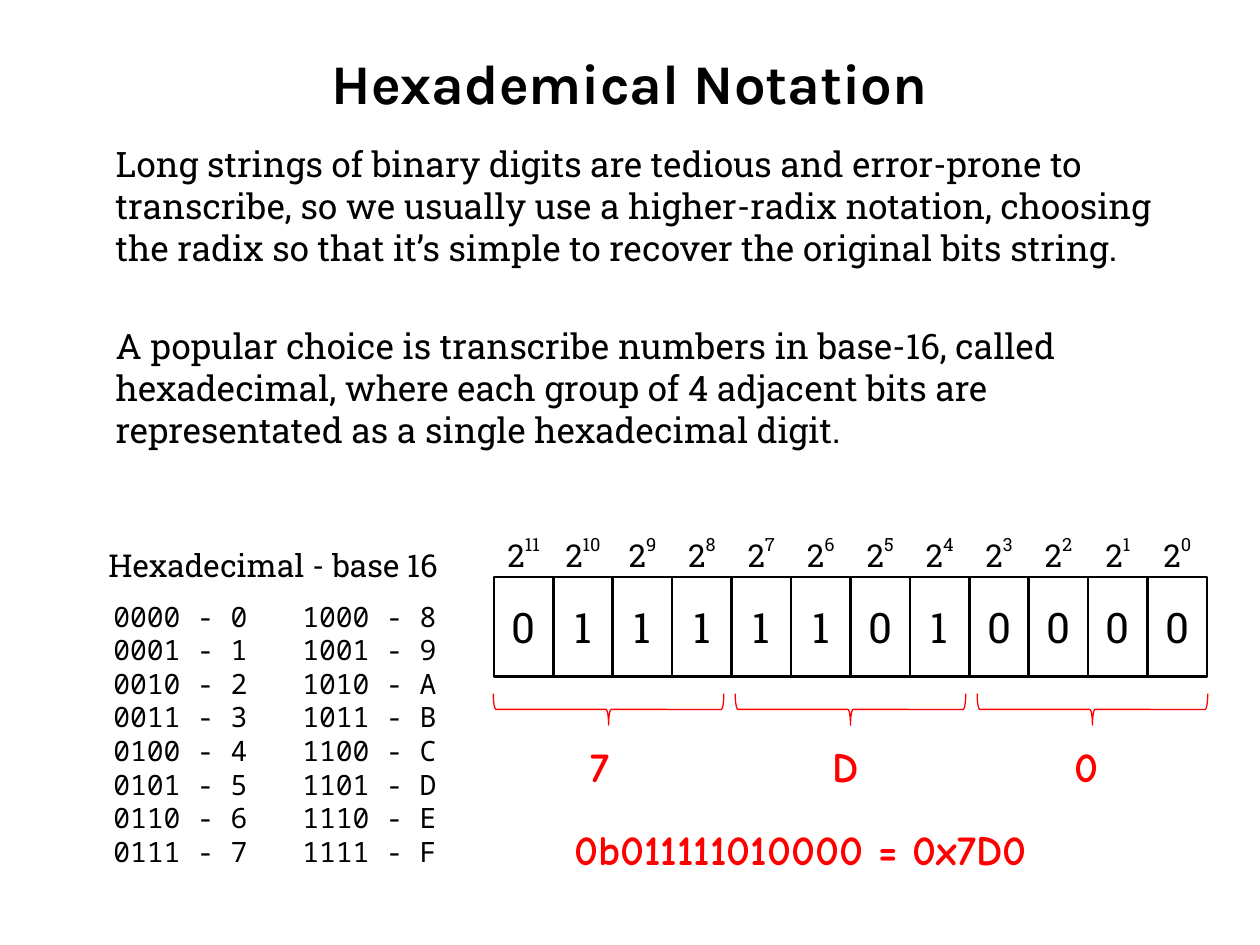
from pptx import Presentation
from pptx.dml.color import RGBColor
from pptx.enum.shapes import MSO_SHAPE
from pptx.enum.text import MSO_ANCHOR, PP_ALIGN
from pptx.util import Inches, Pt
from lxml import etree

RECT, BRACE = MSO_SHAPE.RECTANGLE, MSO_SHAPE.RIGHT_BRACE
MIDDLE, TOP = MSO_ANCHOR.MIDDLE, MSO_ANCHOR.TOP
LEFT, CENTER = PP_ALIGN.LEFT, PP_ALIGN.CENTER
A = "{http://schemas.openxmlformats.org/drawingml/2006/main}"

SLAB, MONO, COMIC = "Roboto Slab", "Noto Sans Mono", "Comic Neue"
BLACK, WHITE, RED = "000000", "FFFFFF", "FF0000"

BITS = "011111010000"
HEX_DIGITS = "7D0"
BODY = [
    "Long strings of binary digits are tedious and error-prone to transcribe, "
    "so we usually use a higher-radix notation, choosing the radix so that "
    "it’s simple to recover the original bits string.",
    "A popular choice is transcribe numbers in base-16, called hexadecimal, "
    "where each group of 4 adjacent bits are representated as a single "
    "hexadecimal digit.",
]

# Bit grid and brace row, in inches
GRID_LEFT, CELL_W, CELL_H = 3.92, 5.66 / len(BITS), 0.79
BRACE_CENTER, BRACE_STEP = 4.83, 1.92
BRACE_W, BRACE_H = 1.83, 0.25


def rgb(value):
    return RGBColor.from_string(value)


def style(p, size, font, color=BLACK, bold=False, align=LEFT):
    p.alignment = align
    p.font.size, p.font.name, p.font.bold = Pt(size), font, bold
    p.font.color.rgb = rgb(color)


def add_text(s, x, y, w, h):
    tf = s.shapes.add_textbox(*map(Inches, (x, y, w, h))).text_frame
    tf.word_wrap = True
    tf.vertical_anchor = TOP
    return tf


def add_cell(s, column, y, line, size, text, power=""):
    """One cell of the bit grid, with an optional superscript."""
    x = GRID_LEFT + column * CELL_W
    sp = s.shapes.add_shape(RECT, *map(Inches, (x, y, CELL_W, CELL_H)))
    sp.shadow.inherit = False
    sp.fill.solid()
    sp.fill.fore_color.rgb = rgb(WHITE)
    sp.line.color.rgb = rgb(line)
    sp.line.width = Pt(1.5)
    tf = sp.text_frame
    tf.word_wrap = False
    tf.vertical_anchor = MIDDLE
    p = tf.paragraphs[0]
    style(p, size, SLAB, align=CENTER)
    p.add_run().text = text
    if power:
        r = p.add_run()
        r.text = power
        r._r.get_or_add_rPr().set("baseline", "50000")


def add_red_text(s, x, y, w, text):
    p = add_text(s, x, y, w, 0.51).paragraphs[0]
    p.text = text
    style(p, 24, COMIC, RED, bold=True)


def add_brace(s, center, y):
    """A brace that opens upward, centred on the given point."""
    box = (center - BRACE_H / 2, y - BRACE_W / 2, BRACE_H, BRACE_W)
    sp = s.shapes.add_shape(BRACE, *map(Inches, box))
    sp.rotation = 90
    sp.shadow.inherit = False
    sp.fill.background()
    sp.line.color.rgb = rgb(RED)
    sp.line.width = Pt(0.75)


def add_title(s, text):
    title = s.shapes.title
    title.left, title.top, title.width, title.height = map(
        Inches, (0.5, 0.3, 9, 0.7))
    tf = title.text_frame
    tf.vertical_anchor = MIDDLE
    tf.text = text
    style(tf.paragraphs[0], 32, "Karla", bold=True, align=CENTER)


def add_body(s):
    tf = add_text(s, 0.82, 1.08, 8.6, 2.93)
    for i, text in enumerate(BODY):
        p = tf.add_paragraph() if i else tf.paragraphs[0]
        p.text = text
        style(p, 20, SLAB)
        p.line_spacing = Pt(24)
        p.space_before = Pt(32 if i else 0)


def add_hex_list(s):
    tf = add_text(s, 0.67, 4.26, 3, 2.99)
    tf.margin_left, tf.margin_top, tf.margin_right = map(
        Inches, (0.19, 0.07, 0))
    heading = tf.paragraphs[0]
    heading.text = "Hexadecimal - base 16"
    style(heading, 18, SLAB)
    heading.line_spacing = Pt(21.6)

    # Two columns of digits, set apart by a tab stop
    p = tf.add_paragraph()
    p.text = "\n".join(
        f"{n:04b} - {n:X}\t{n + 8:04b} - {n + 8:X}" for n in range(8))
    style(p, 16, MONO)
    p.line_spacing = Pt(19.2)
    p.space_before = Pt(9)
    pPr = p._p.get_or_add_pPr()
    pPr.set("marL", str(Inches(0.04)))
    pPr.set("indent", "0")
    tabs = etree.Element(A + "tabLst")
    etree.SubElement(tabs, A + "tab", pos=str(Inches(1.5)), algn="l")
    pPr.find(A + "defRPr").addprevious(tabs)


def main():
    prs = Presentation()
    prs.slide_width, prs.slide_height = Inches(10), Inches(7.5)
    s = prs.slides.add_slide(prs.slide_layouts[5])

    add_title(s, "Hexademical Notation")
    add_hex_list(s)
    add_body(s)

    # Powers of two above the bits
    for i in range(len(BITS)):
        add_cell(s, i, 4, WHITE, 18, "2", str(len(BITS) - 1 - i))
    for i, bit in enumerate(BITS):
        add_cell(s, i, 4.58, BLACK, 24, bit)

    # One hexadecimal digit for each group of four bits
    for i, digit in enumerate(HEX_DIGITS):
        center = BRACE_CENTER + i * BRACE_STEP
        add_brace(s, center, 5.63)
        add_red_text(s, center - 0.24, 5.83, 0.45, digit)
    add_red_text(s, 4.46, 6.49, 4.63, f"0b{BITS} = 0x{HEX_DIGITS}")

    prs.save("out.pptx")


if __name__ == "__main__":
    main()
